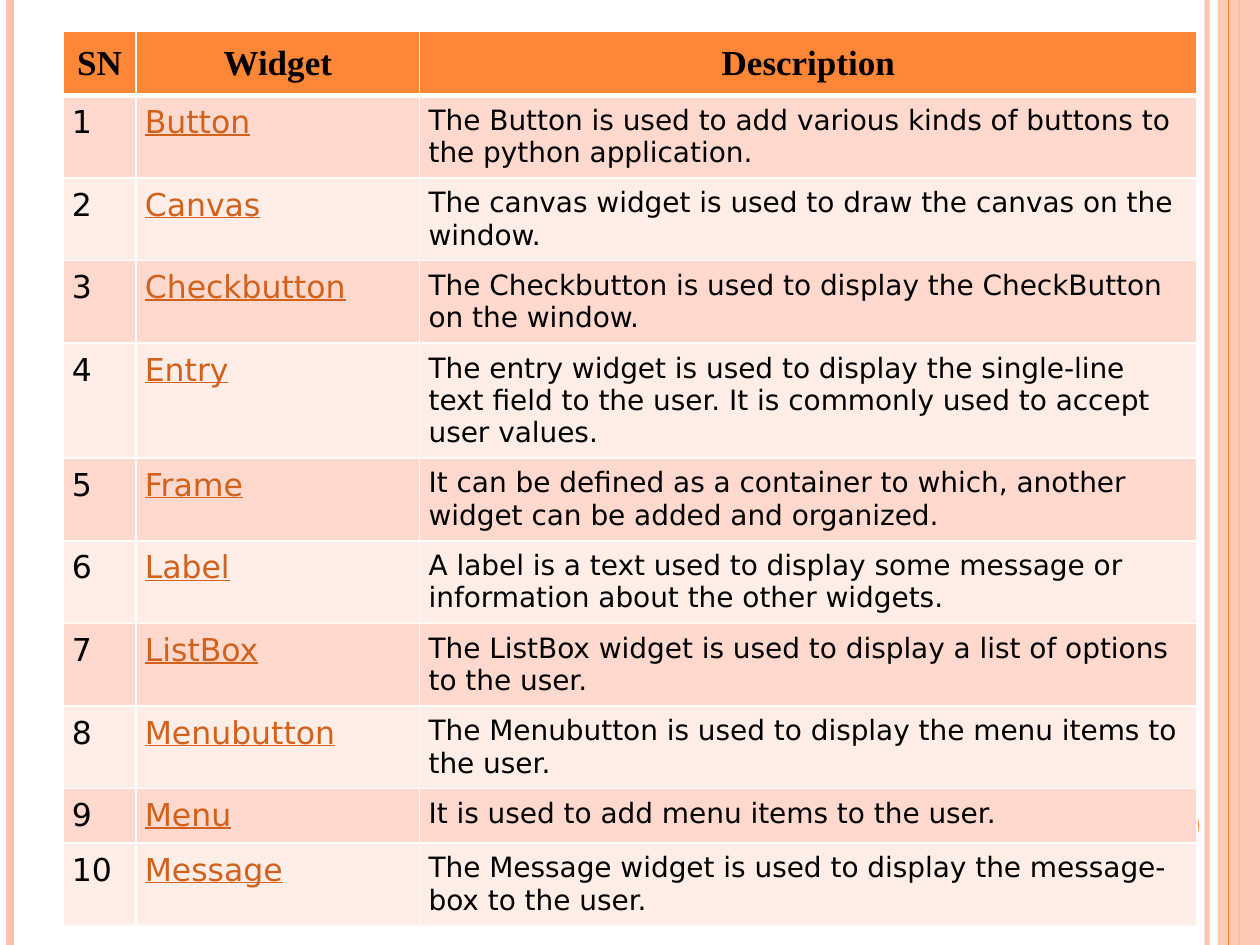
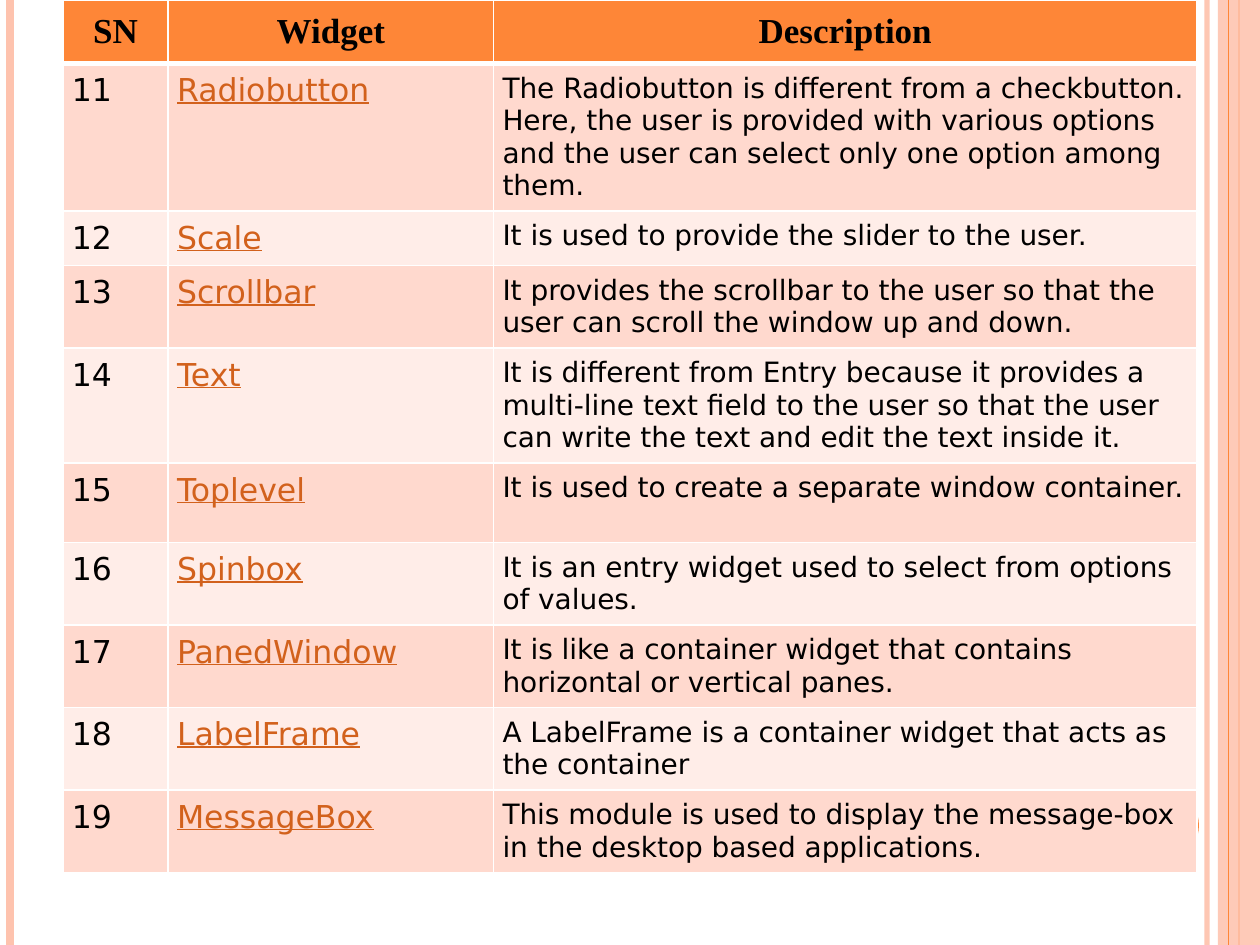
from dataclasses import dataclass

import lxml.etree
import pptx
import pptx.dml.color
import pptx.enum.shapes
import pptx.enum.text
import pptx.oxml.ns
import pptx.slide
import pptx.table
import pptx.util

Cm = pptx.util.Cm
Pt = pptx.util.Pt
qn = pptx.oxml.ns.qn

COLOURS = {
    "orange": "FE8637",
    "peach": "FEC3AE",
    "odd row": "FFD9CE",
    "even row": "FFEDE8",
    "widget": "D2611C",
    "text": "000000",
    "grid": "FFFFFF",
}
HEADINGS = ("SN", "Widget", "Description")
HEADING_FONT = "Times New Roman"
BODY_FONT = "DejaVu Sans"
SLIDE_WIDTH, SLIDE_HEIGHT = 25.4, 19.05


@dataclass(frozen=True)
class Stripe:
    x: float
    weight: float
    colour: str
    opacity: int = 100


@dataclass(frozen=True)
class Block:
    preset: pptx.enum.shapes.MSO_SHAPE
    left: float
    top: float
    width: float
    height: float
    colour: str
    opacity: int = 100


@dataclass(frozen=True)
class WidgetTable:
    top: float
    height: float
    columns: tuple[float, ...]
    rows: tuple[float, ...]
    first_number: int
    widgets: tuple[tuple[str, str], ...]


DECORATIONS = (
    Stripe(24.33, 3, "peach", 93),
    Stripe(0.21, 4.5, "peach"),
    Stripe(24.98, 1.5, "orange"),
    Block(pptx.enum.shapes.MSO_SHAPE.RECTANGLE, 24.55, 0, 0.85, SLIDE_HEIGHT, "peach", 87),
    Stripe(24.77, 0.75, "orange"),
    Block(pptx.enum.shapes.MSO_SHAPE.OVAL, 22.65, 15.88, 1.52, 1.52, "orange"),
)

TABLES = (
    WidgetTable(
        0.64, 18.36, (1.47, 5.72, 15.67), (1.04,) * 11, 1,
        (
            ("Button", "The Button is used to add various kinds of buttons to the python application."),
            ("Canvas", "The canvas widget is used to draw the canvas on the window."),
            ("Checkbutton", "The Checkbutton is used to display the CheckButton on the window."),
            ("Entry", "The entry widget is used to display the single-line text field to the user. "
                      "It is commonly used to accept user values."),
            ("Frame", "It can be defined as a container to which, another widget can be added and organized."),
            ("Label", "A label is a text used to display some message or information about the other widgets."),
            ("ListBox", "The ListBox widget is used to display a list of options to the user."),
            ("Menubutton", "The Menubutton is used to display the menu items to the user."),
            ("Menu", "It is used to add menu items to the user."),
            ("Message", "The Message widget is used to display the message-box to the user."),
        ),
    ),
    WidgetTable(
        0, 18.03, (2.12, 6.56, 14.18), (1.27, 2.87, 1.04, 1.6, 2.24) + (1.6,) * 5, 11,
        (
            ("Radiobutton", "The Radiobutton is different from a checkbutton. Here, the user is provided with "
                            "various options and the user can select only one option among them."),
            ("Scale", "It is used to provide the slider to the user."),
            ("Scrollbar", "It provides the scrollbar to the user so that the user can scroll the window "
                          "up and down."),
            ("Text", "It is different from Entry because it provides a multi-line text field to the user "
                     "so that the user can write the text and edit the text inside it."),
            ("Toplevel", "It is used to create a separate window container."),
            ("Spinbox", "It is an entry widget used to select from options of values."),
            ("PanedWindow", "It is like a container widget that contains horizontal or vertical panes."),
            ("LabelFrame", "A LabelFrame is a container widget that acts as the container"),
            ("MessageBox", "This module is used to display the message-box in the desktop based applications."),
        ),
    ),
)


def rgb(colour: str) -> pptx.dml.color.RGBColor:
    return pptx.dml.color.RGBColor.from_string(COLOURS[colour])


def set_opacity(element: lxml.etree._Element, opacity: int) -> None:
    if opacity < 100:
        colour = next(element.iter(qn("a:srgbClr")))
        lxml.etree.SubElement(colour, qn("a:alpha"), val=str(opacity * 1000))


def draw_stripe(page: pptx.slide.Slide, stripe: Stripe) -> None:
    line = page.shapes.add_connector(
        pptx.enum.shapes.MSO_CONNECTOR.STRAIGHT,
        Cm(stripe.x), Cm(0), Cm(stripe.x), Cm(SLIDE_HEIGHT),
    )
    line.line.color.rgb = rgb(stripe.colour)
    line.line.width = Pt(stripe.weight)
    properties = line.element.find(qn("p:spPr"))
    lxml.etree.SubElement(properties, qn("a:effectLst"))
    set_opacity(properties, stripe.opacity)


def draw_block(page: pptx.slide.Slide, block: Block) -> None:
    shape = page.shapes.add_shape(
        block.preset, Cm(block.left), Cm(block.top), Cm(block.width), Cm(block.height)
    )
    shape.shadow.inherit = False
    shape.fill.solid()
    shape.fill.fore_color.rgb = rgb(block.colour)
    shape.line.fill.background()
    set_opacity(shape.element.find(qn("p:spPr")), block.opacity)


def draw_decorations(page: pptx.slide.Slide) -> None:
    for decoration in DECORATIONS:
        if isinstance(decoration, Stripe):
            draw_stripe(page, decoration)
        else:
            draw_block(page, decoration)


def set_borders(cell: pptx.table._Cell, top: float = 1, bottom: float = 1) -> None:
    properties = cell._tc.get_or_add_tcPr()
    for side, weight in (("L", 1), ("R", 1), ("T", top), ("B", bottom)):
        border = lxml.etree.SubElement(properties, qn(f"a:ln{side}"), w=str(Pt(weight)))
        fill = lxml.etree.SubElement(border, qn("a:solidFill"))
        lxml.etree.SubElement(fill, qn("a:srgbClr"), val=COLOURS["grid"])


def write_cell(
    cell: pptx.table._Cell,
    text: str,
    *,
    fill: str,
    size: float,
    font: str = BODY_FONT,
    colour: str = "text",
    bold: bool = False,
    underline: bool = False,
    align: pptx.enum.text.PP_ALIGN = pptx.enum.text.PP_ALIGN.LEFT,
    inset: float = 0.18,
) -> None:
    cell.margin_left = cell.margin_right = cell.margin_top = cell.margin_bottom = Cm(inset)
    cell.fill.solid()
    cell.fill.fore_color.rgb = rgb(fill)
    para = cell.text_frame.paragraphs[0]
    para.alignment = align
    span = para.add_run()
    span.text = text
    span.font.name = font
    span.font.size = Pt(size)
    span.font.bold = bold
    span.font.underline = underline
    span.font.color.rgb = rgb(colour)


def draw_table(page: pptx.slide.Slide, content: WidgetTable) -> None:
    frame = page.shapes.add_table(
        len(content.rows), len(content.columns),
        Cm(1.27), Cm(content.top), Cm(sum(content.columns)), Cm(content.height),
    )
    table = frame.table
    table.first_row = table.horz_banding = False
    for column, width in zip(table.columns, content.columns):
        column.width = Cm(width)
    for row, height in zip(table.rows, content.rows):
        row.height = Cm(height)
    frame.height = Cm(content.height)

    for column, heading in enumerate(HEADINGS):
        cell = table.cell(0, column)
        set_borders(cell, bottom=3)
        write_cell(cell, heading, fill="orange", size=20, font=HEADING_FONT, bold=True,
                   align=pptx.enum.text.PP_ALIGN.CENTER, inset=0.25)

    for row, (widget, description) in enumerate(content.widgets, start=1):
        fill = "odd row" if row % 2 else "even row"
        number, name, details = (table.cell(row, column) for column in range(3))
        for cell in (number, name, details):
            set_borders(cell, top=3 if row == 1 else 1)
        write_cell(number, str(content.first_number + row - 1), fill=fill, size=18)
        write_cell(name, widget, fill=fill, size=18, colour="widget", underline=True)
        write_cell(details, description, fill=fill, size=16)


def main() -> None:
    deck = pptx.Presentation()
    deck.slide_width, deck.slide_height = Cm(SLIDE_WIDTH), Cm(SLIDE_HEIGHT)
    for content in TABLES:
        page = deck.slides.add_slide(deck.slide_layouts[6])
        draw_decorations(page)
        draw_table(page, content)
    deck.save("out.pptx")


if __name__ == "__main__":
    main()
